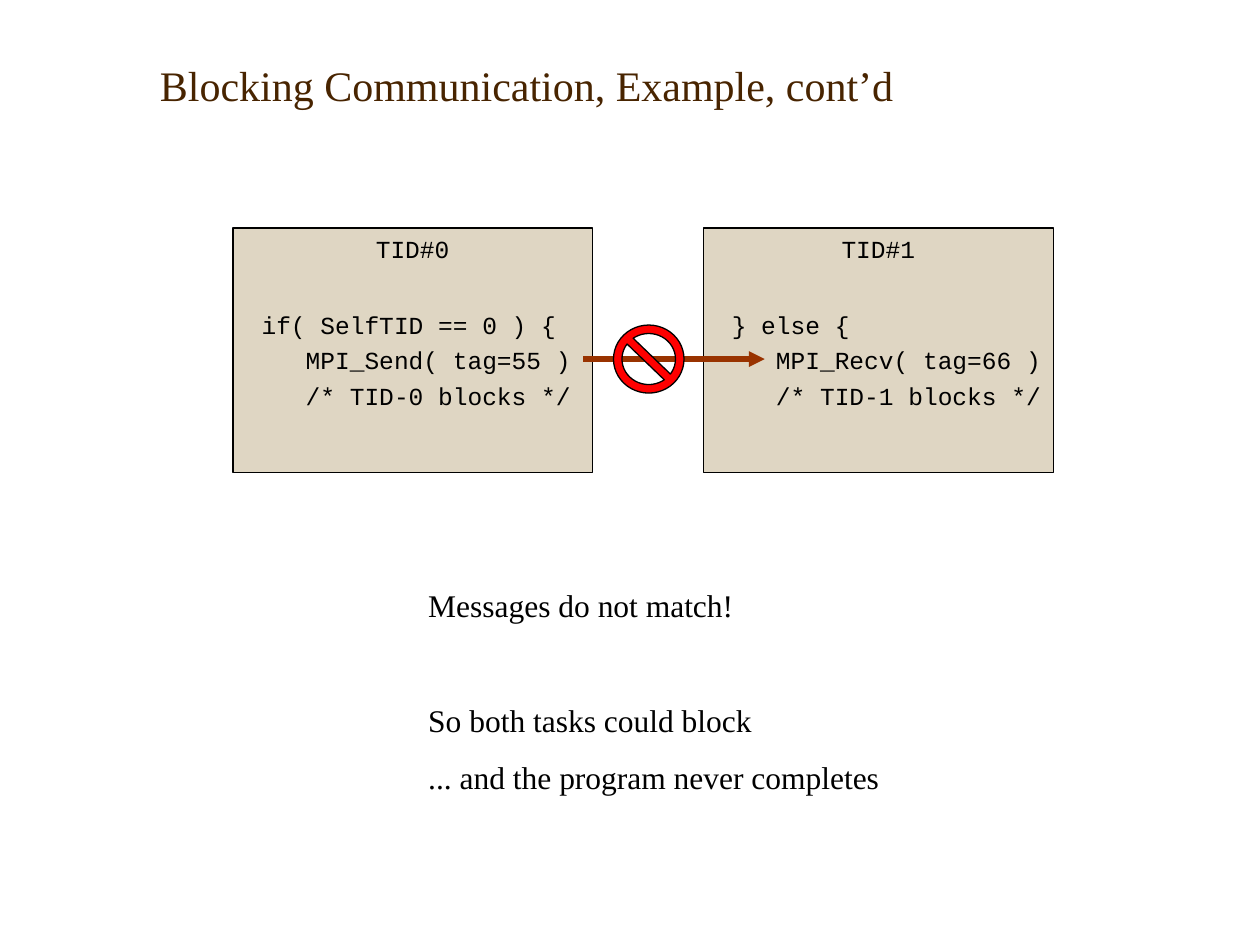
import pptx
from lxml import etree
from pptx.dml.color import RGBColor
from pptx.enum.shapes import MSO_CONNECTOR, MSO_SHAPE
from pptx.enum.text import MSO_ANCHOR, MSO_AUTO_SIZE, PP_ALIGN
from pptx.oxml.ns import qn
from pptx.util import Pt

BLACK = RGBColor(0x00, 0x00, 0x00)
BROWN = RGBColor(0x48, 0x24, 0x00)
RUST = RGBColor(0x99, 0x33, 0x00)
RED = RGBColor(0xFF, 0x00, 0x00)
SAND = RGBColor(0xDF, 0xD6, 0xC3)
SERIF, MONO = "Times New Roman", "Courier New"

TITLE = "Blocking Communication, Example, cont’d"
# heading, panel left, panel width, code left, code lines
TASKS = [
    ("TID#0", 133.2, 205.2, 142.4,
     ["if( SelfTID == 0 ) {", "   MPI_Send( tag=55 )", "   /* TID-0 blocks */"]),
    ("TID#1", 401.8, 200.2, 411.1,
     ["} else {", "   MPI_Recv( tag=66 )", "   /* TID-1 blocks */"]),
]
# text, space before
CONCLUSIONS = [
    ("Messages do not match!", 0),
    ("So both tasks could block", 44),
    ("... and the program never completes", 11.2),
]
PANEL_TOP, PANEL_HEIGHT = 130.3, 139.7
CODE_TOP, CODE_WIDTH, CODE_HEIGHT = 173.5, 191.5, 64.8
ARROW_Y = 205.2


def write(frame, lines, font, size, color=BLACK, align=PP_ALIGN.LEFT):
    """Fill a text frame with (text, space before) lines."""
    for index, (text, gap) in enumerate(lines):
        para = frame.paragraphs[0] if index == 0 else frame.add_paragraph()
        para.alignment = align
        para.space_before = Pt(gap)
        span = para.add_run()
        span.text = text
        span.font.name = font
        span.font.size = Pt(size)
        span.font.color.rgb = color


def add_text(page, left, top, width, height, lines, font, size):
    box = page.shapes.add_textbox(Pt(left), Pt(top), Pt(width), Pt(height))
    box.text_frame.word_wrap = False
    box.text_frame.auto_size = MSO_AUTO_SIZE.SHAPE_TO_FIT_TEXT
    write(box.text_frame, lines, font, size)


def add_outlined(page, kind, left, top, width, height, fill):
    shape = page.shapes.add_shape(kind, Pt(left), Pt(top), Pt(width), Pt(height))
    shape.shadow.inherit = False
    shape.fill.solid()
    shape.fill.fore_color.rgb = fill
    shape.line.color.rgb = BLACK
    shape.line.width = Pt(0.75)
    return shape


def add_arrow(page, start, end, y):
    arrow = page.shapes.add_connector(
        MSO_CONNECTOR.STRAIGHT, Pt(start), Pt(y), Pt(end), Pt(y))
    arrow.line.color.rgb = RUST
    arrow.line.width = Pt(3)
    etree.SubElement(arrow.line._get_or_add_ln(), qn("a:tailEnd"), type="triangle")
    etree.SubElement(arrow._element.spPr, qn("a:effectLst"))


def main():
    deck = pptx.Presentation()
    deck.slide_width, deck.slide_height = Pt(720), Pt(540)
    page = deck.slides.add_slide(deck.slide_layouts[5])

    title = page.shapes.title
    title.left, title.top, title.width, title.height = Pt(84.2), Pt(30.2), Pt(612), Pt(36)
    title.text_frame.vertical_anchor = MSO_ANCHOR.BOTTOM
    write(title.text_frame, [(TITLE, 0)], SERIF, 24, BROWN)

    for heading, left, width, code_left, code in TASKS:
        panel = add_outlined(page, MSO_SHAPE.RECTANGLE, left, PANEL_TOP,
                             width, PANEL_HEIGHT, SAND)
        panel.text_frame.vertical_anchor = MSO_ANCHOR.TOP
        panel.text_frame.word_wrap = False
        write(panel.text_frame, [(heading, 0)], MONO, 14, align=PP_ALIGN.CENTER)
        lines = [(text, 3.5 if index else 0) for index, text in enumerate(code)]
        add_text(page, code_left, CODE_TOP, CODE_WIDTH, CODE_HEIGHT, lines, MONO, 14)

    add_arrow(page, 333.4, 437, ARROW_Y)
    sign_width, sign_height = 40.3, 38.9
    sign = add_outlined(page, MSO_SHAPE.NO_SYMBOL, 350.6, ARROW_Y - sign_height / 2,
                        sign_width, sign_height, RED)
    sign.adjustments[0] = 0.125

    add_text(page, 237.6, 331.2, 272.2, 127.4, CONCLUSIONS, SERIF, 18)
    deck.save("out.pptx")


if __name__ == "__main__":
    main()
